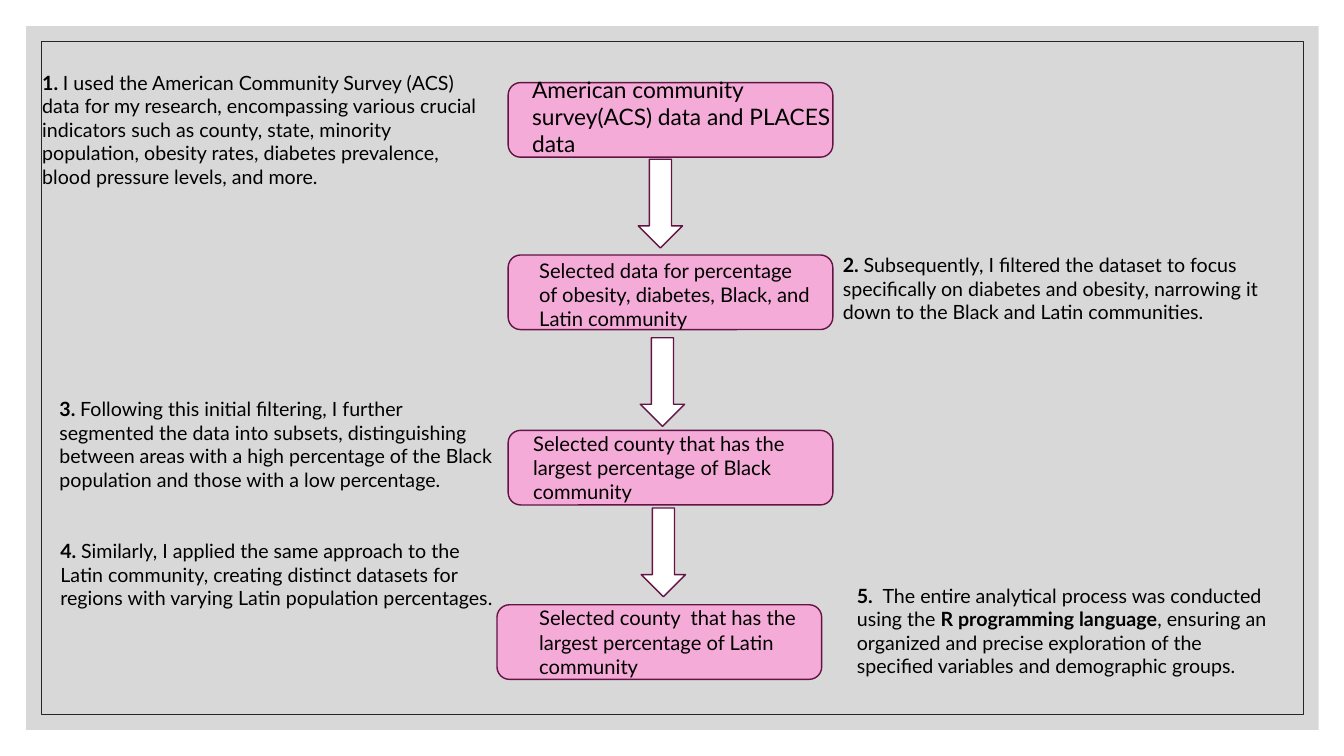
from dataclasses import dataclass
from typing import Optional

from lxml import etree
from pptx import Presentation
from pptx import util as u
from pptx.dml.color import RGBColor
from pptx.enum import shapes, text
from pptx.oxml import ns


@dataclass(frozen=True)
class Theme:
    font: str = "Lato"
    ink: str = "000000"
    panel: str = "BFBFBF"
    panel_opacity: int = 60
    frame: str = "262626"
    step: str = "F4ABD7"
    arrow: str = "FFFFFF"
    outline: str = "631444"
    frame_line: float = 0.5
    step_line: float = 1
    lead_size: float = 16.2
    step_size: float = 14.4
    note_size: float = 14
    step_gap: float = 5.8


@dataclass(frozen=True)
class Area:
    """Lengths in percent of the slide's width and height."""
    left: float
    top: float
    width: float
    height: float


@dataclass(frozen=True)
class Step:
    box_left: float
    box_top: float
    label: Area
    wording: str
    size: float


@dataclass(frozen=True)
class Note:
    area: Area
    runs: tuple[str, ...]  # bold and regular by turns, bold first


THEME = Theme()
BOX_WIDTH, BOX_HEIGHT = 24.16, 9.87
ARROW_WIDTH, ARROW_HEIGHT = 3.3, 11.73
LABEL_WIDTH, LABEL_HEIGHT = 21.83, 11.2

STEPS = (
    Step(37.81, 10.93, Area(38.86, 9.33, BOX_WIDTH, 12.4),
         "American community survey(ACS) data and PLACES data", THEME.lead_size),
    Step(37.81, 33.73, Area(39.38, 33.47, LABEL_WIDTH, LABEL_HEIGHT),
         "Selected data for percentage of obesity, diabetes, Black, and Latin community",
         THEME.step_size),
    Step(37.81, 56.93, Area(38.93, 56.4, LABEL_WIDTH, LABEL_HEIGHT),
         "Selected county that has the largest percentage of Black community",
         THEME.step_size),
    Step(36.98, 80, Area(39.38, 79.47, LABEL_WIDTH, LABEL_HEIGHT),
         "Selected county  that has the largest percentage of Latin community",
         THEME.step_size),
)

ARROW_CORNERS = ((47.49, 21.07), (47.64, 44.67), (47.71, 67.2))

NOTES = (
    Note(Area(2.4, 8.67, 34.58, 17.07), (
        "1. ",
        "I used the American Community Survey (ACS) data for my research, encompassing "
        "various crucial indicators such as county, state, minority population, obesity "
        "rates, diabetes prevalence, blood pressure levels, and more.")),
    Note(Area(61.97, 32.8, 35.63, 10.8), (
        "2. ",
        "Subsequently, I filtered the dataset to focus specifically on diabetes and "
        "obesity, narrowing it down to the Black and Latin communities.")),
    Note(Area(3.68, 51.87, 34.28, 17.07), (
        "3. ",
        "Following this initial filtering, I further segmented the data into subsets, "
        "distinguishing between areas with a high percentage of the Black population "
        "and those with a low percentage.")),
    Note(Area(3.75, 70.67, 34.21, 13.87), (
        "4. ",
        "Similarly, I applied the same approach to the Latin community, creating "
        "distinct datasets for regions with varying Latin population percentages.")),
    Note(Area(63.02, 76.53, 32.86, 13.87), (
        "5.  ",
        "The entire analytical process was conducted using the ",
        "R programming language",
        ", ensuring an organized and precise exploration of the specified variables "
        "and demographic groups.")),
)

deck = Presentation()
deck.slide_width, deck.slide_height = u.Inches(13.33), u.Inches(7.5)
slide = deck.slides.add_slide(deck.slide_layouts[6])


def place(area: Area) -> tuple[int, int, int, int]:
    """Turn percentages into slide units."""
    across, down = deck.slide_width / 100, deck.slide_height / 100
    return (round(area.left * across), round(area.top * down),
            round(area.width * across), round(area.height * down))


def draw_shape(kind: shapes.MSO_SHAPE, area: Area, fill: Optional[str] = None,
               line: Optional[str] = None, weight: float = THEME.step_line):
    drawn = slide.shapes.add_shape(kind, *place(area))
    drawn.shadow.inherit = False
    if fill:
        drawn.fill.solid()
        drawn.fill.fore_color.rgb = RGBColor.from_string(fill)
    else:
        drawn.fill.background()
    if line:
        drawn.line.color.rgb = RGBColor.from_string(line)
        drawn.line.width = u.Pt(weight)
    else:
        drawn.line.fill.background()
    return drawn


def write(area: Area, runs: tuple[str, ...], size: float, bold_first: bool = False,
          gap: float = 0) -> None:
    frame = slide.shapes.add_textbox(*place(area)).text_frame
    frame.word_wrap = True
    frame.auto_size = text.MSO_AUTO_SIZE.SHAPE_TO_FIT_TEXT
    paragraph = frame.paragraphs[0]
    paragraph.space_after = u.Pt(gap)
    paragraph.font.name = THEME.font
    paragraph.font.size = u.Pt(size)
    paragraph.font.color.rgb = RGBColor.from_string(THEME.ink)
    for index, wording in enumerate(runs):
        run = paragraph.add_run()
        run.text = wording
        if bold_first:
            run.font.bold = index % 2 == 0


# Translucent panel and thin frame
panel = draw_shape(shapes.MSO_SHAPE.RECTANGLE, Area(1.95, 3.47, 96.17, 93.07), THEME.panel)
panel_colour = panel.fill._xPr.find(".//" + ns.qn("a:srgbClr"))
etree.SubElement(panel_colour, ns.qn("a:alpha"), val=str(THEME.panel_opacity * 1000))
draw_shape(shapes.MSO_SHAPE.RECTANGLE, Area(3.08, 5.47, 93.92, 89.07),
           line=THEME.frame, weight=THEME.frame_line)

# Arrows between the steps
for left, top in ARROW_CORNERS:
    draw_shape(shapes.MSO_SHAPE.DOWN_ARROW, Area(left, top, ARROW_WIDTH, ARROW_HEIGHT),
               THEME.arrow, THEME.outline)

# Flow of steps
for step in STEPS:
    draw_shape(shapes.MSO_SHAPE.ROUNDED_RECTANGLE,
               Area(step.box_left, step.box_top, BOX_WIDTH, BOX_HEIGHT),
               THEME.step, THEME.outline)
    write(step.label, (step.wording,), step.size, gap=THEME.step_gap)

# Numbered notes beside the flow
for note in NOTES:
    write(note.area, note.runs, THEME.note_size, bold_first=True)

deck.save("out.pptx")
